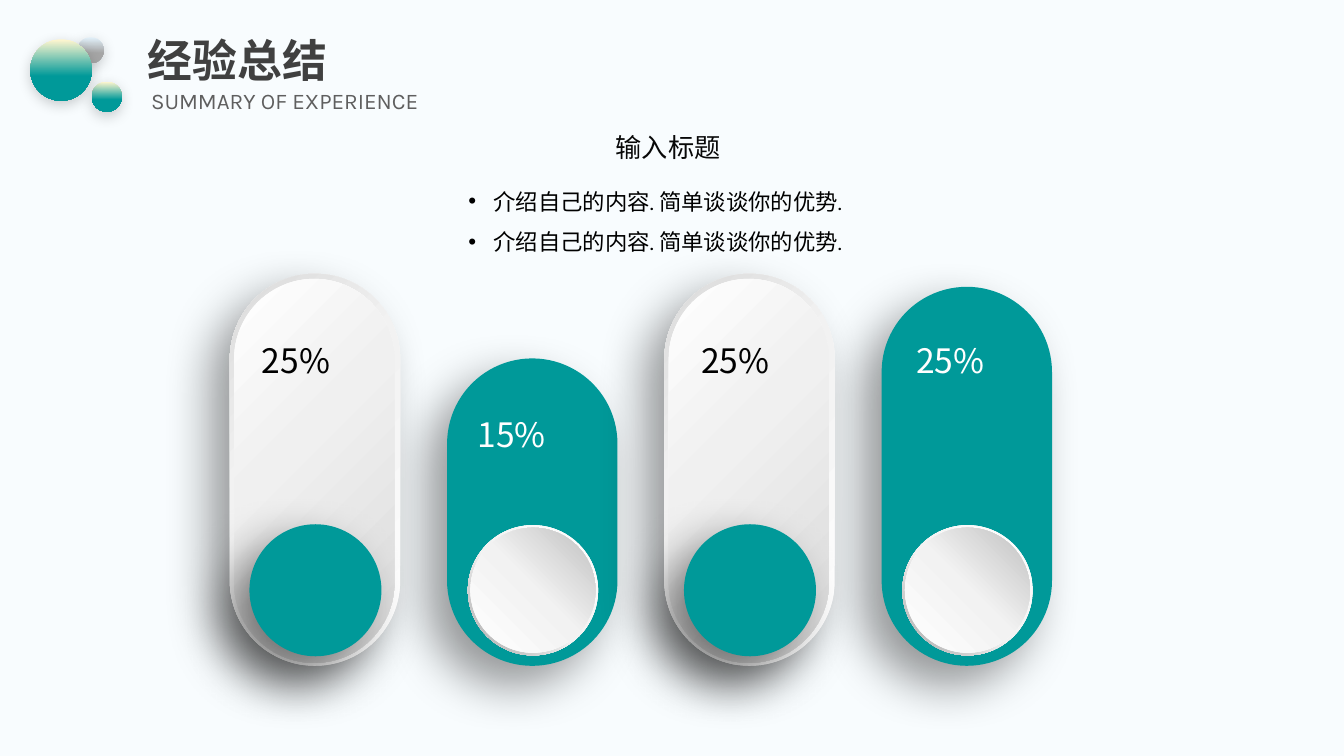
from pptx import Presentation
from pptx.dml.color import RGBColor
from pptx.enum.shapes import MSO_SHAPE
from pptx.enum.text import MSO_ANCHOR, PP_ALIGN
from pptx.oxml import parse_xml
from pptx.oxml.ns import nsdecls, qn
from pptx.util import Pt

ELLIPSE = MSO_SHAPE.OVAL
DONUT = MSO_SHAPE.DONUT
PILL = MSO_SHAPE.ROUNDED_RECTANGLE
TOP, MIDDLE = MSO_ANCHOR.TOP, MSO_ANCHOR.MIDDLE
CENTER = PP_ALIGN.CENTER

BACKGROUND = RGBColor(0xF8, 0xFC, 0xFE)
TEAL = RGBColor(0x00, 0x99, 0x99)
CREAM = RGBColor(0xFF, 0xF6, 0xCF)
PALE_BLUE = RGBColor(0xE1, 0xF0, 0xF9)
GRAY = RGBColor(0xA5, 0xA5, 0xA5)
WHITE = RGBColor(0xFF, 0xFF, 0xFF)
BLACK = RGBColor(0x00, 0x00, 0x00)
NEAR_BLACK = RGBColor(0x08, 0x08, 0x08)
TITLE_GRAY = RGBColor(0x40, 0x40, 0x40)
SUBTITLE_GRAY = RGBColor(0x5F, 0x5F, 0x5F)
SILVER_1 = RGBColor(0xF2, 0xF2, 0xF2)
SILVER_2 = RGBColor(0xF0, 0xF0, 0xF0)
SILVER_3 = RGBColor(0xD9, 0xD9, 0xD9)
SILVER_4 = RGBColor(0xBF, 0xBF, 0xBF)
SILVER_5 = RGBColor(0xA6, 0xA6, 0xA6)

LATIN_FONT = "Karla"
CJK_FONT = "Noto Sans CJK SC"

BUBBLE_SHADOW = (20, 10, 3, 90)
PILL_SHADOW = (40, 35, 20, 135)
KNOB_SHADOW = (50, 35, 20, 135)

TEAL_BUBBLE = (90, [(1, CREAM), (60, TEAL), (100, TEAL)])
GRAY_BUBBLE = (90, [(1, PALE_BLUE), (60, GRAY), (100, GRAY)])
PILL_RIM = (225, [(0, WHITE), (62, SILVER_1), (100, SILVER_3)])
PILL_FACE = (45, [(0, WHITE), (42, SILVER_2), (100, SILVER_3)])
KNOB_RIM = (135, [(0, WHITE), (55, SILVER_1), (100, SILVER_5)])
KNOB_FACE = (315, [(0, WHITE), (51, SILVER_1), (100, SILVER_4)])

presentation = Presentation()
presentation.slide_width = Pt(960)
presentation.slide_height = Pt(540)
slide = presentation.slides.add_slide(presentation.slide_layouts[6])
slide.background.fill.solid()
slide.background.fill.fore_color.rgb = BACKGROUND


def add_shape(kind, center_x, center_y, width, height, fill, shadow=None, adjustment=None):
    shape = slide.shapes.add_shape(
        kind, Pt(center_x - width / 2), Pt(center_y - height / 2), Pt(width), Pt(height))
    if adjustment is not None:
        shape.adjustments[0] = adjustment
    shape.line.fill.background()
    shape.shadow.inherit = False
    properties = shape.element.spPr
    if isinstance(fill, RGBColor):
        shape.fill.solid()
        shape.fill.fore_color.rgb = fill
    else:
        angle, colors = fill
        stops = "".join(
            f'<a:gs pos="{position * 1000}"><a:srgbClr val="{color}"/></a:gs>'
            for position, color in colors)
        properties.insert(2, parse_xml(
            f'<a:gradFill {nsdecls("a")} rotWithShape="1"><a:gsLst>{stops}</a:gsLst>'
            f'<a:lin ang="{angle * 60000}" scaled="0"/></a:gradFill>'))
    if shadow:
        opacity, blur, distance, direction = shadow
        properties.find(qn("a:effectLst")).append(parse_xml(
            f'<a:outerShdw {nsdecls("a")} blurRad="{Pt(blur)}" dist="{Pt(distance)}" '
            f'dir="{direction * 60000}" algn="ctr" rotWithShape="0"><a:srgbClr val="000000">'
            f'<a:alpha val="{opacity * 1000}"/></a:srgbClr></a:outerShdw>'))


def add_text(left, top, width, height, lines, size, color, font=LATIN_FONT, bold=False,
             wrap=False, anchor=TOP, **paragraph_format):
    frame = slide.shapes.add_textbox(Pt(left), Pt(top), Pt(width), Pt(height)).text_frame
    frame.word_wrap = wrap
    frame.vertical_anchor = anchor
    frame.text = "\n".join(lines)
    for paragraph in frame.paragraphs:
        for name, value in paragraph_format.items():
            setattr(paragraph, name, value)
        run = paragraph.runs[0]
        for name, value in {"name": font, "size": Pt(size), "bold": bold}.items():
            setattr(run.font, name, value)
        run.font.color.rgb = color
        run.font._element.append(
            parse_xml(f'<a:ea {nsdecls("a")} typeface="{CJK_FONT}"/>'))
    return frame


for center_x, center_y, diameter, fill in [
    (64.8, 36, 18.7, GRAY_BUBBLE),
    (76.3, 69.1, 21.6, TEAL_BUBBLE),
    (43.6, 50, 43.9, TEAL_BUBBLE),
]:
    add_shape(ELLIPSE, center_x, center_y, diameter, diameter, fill, BUBBLE_SHADOW)

add_text(98.6, 23.8, 828, 42.5, ["经验总结"], 32, TITLE_GRAY, bold=True, wrap=True,
         anchor=MIDDLE, line_spacing=0.9)
add_text(100.8, 60.5, 660, 24.5, ["SUMMARY OF EXPERIENCE"], 16, SUBTITLE_GRAY, wrap=True,
         anchor=MIDDLE, line_spacing=0.9)

FIRST_CENTER, PITCH = 225, 155.2
PILL_WIDTH, PILL_BOTTOM = 121.7, 475.6
KNOB_Y = 421.6

for column, height, is_teal, label, label_left, label_top in [
    (1, 219.6, True, "15%", 334.1, 292.3),
    (0, 280, False, "25%", 180, 239),
    (3, 270.7, True, "25%", 647.3, 239),
    (2, 280, False, "25%", 493.9, 239),
]:
    center_x = FIRST_CENTER + column * PITCH
    pill_y = PILL_BOTTOM - height / 2
    add_shape(PILL, center_x, pill_y, PILL_WIDTH, height,
              TEAL if is_teal else PILL_RIM, PILL_SHADOW, 0.5)
    if is_teal:
        add_shape(DONUT, center_x + 0.5, KNOB_Y, 93, 93, KNOB_RIM, adjustment=0.049)
        add_shape(ELLIPSE, center_x + 0.5, KNOB_Y, 89.3, 89.3, KNOB_FACE)
    else:
        add_shape(PILL, center_x - 0.5, pill_y + 0.7, 114.5, 274.3, PILL_FACE, adjustment=0.5)
        add_shape(ELLIPSE, center_x + 0.3, KNOB_Y, 94.3, 94.3, TEAL, KNOB_SHADOW)
    add_text(label_left, label_top, 64.8, 36, [label], 24,
             WHITE if is_teal else BLACK, font=CJK_FONT)

add_text(432.7, 90, 90, 30.2, ["输入标题"], 18.7, NEAR_BLACK)
bullets = add_text(324, 121, 288, 65.5, ["介绍自己的内容. 简单谈谈你的优势."] * 2, 16, BLACK,
                   alignment=CENTER, line_spacing=1.5)
for paragraph in bullets.paragraphs:
    properties = paragraph._p.get_or_add_pPr()
    properties.set("marL", str(Pt(18)))
    properties.set("indent", str(-Pt(18)))
    properties.append(parse_xml(f'<a:buFont {nsdecls("a")} typeface="Arial"/>'))
    properties.append(parse_xml(f'<a:buChar {nsdecls("a")} char="•"/>'))

presentation.save("out.pptx")
